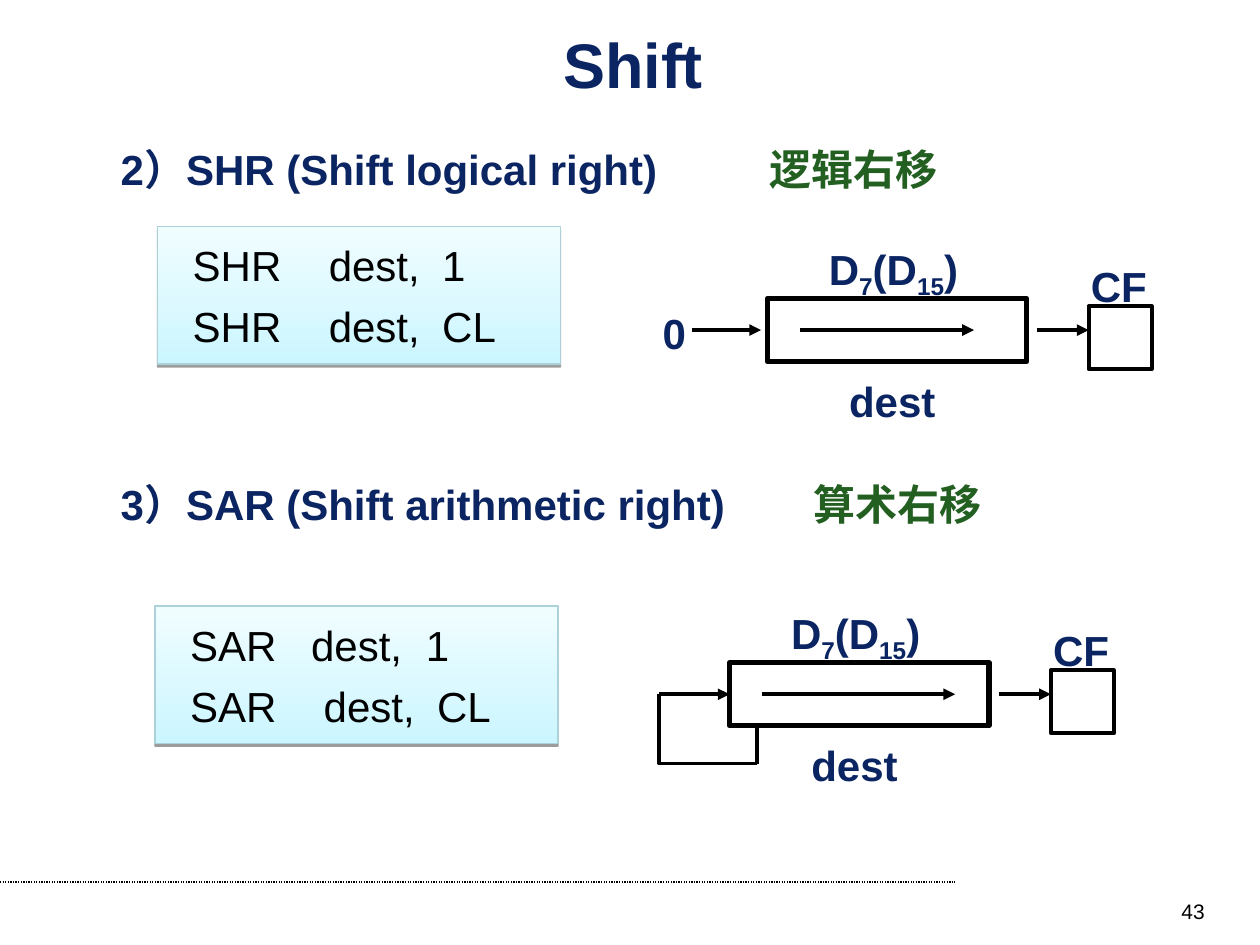
from dataclasses import dataclass

from lxml.etree import SubElement
from pptx import Presentation
from pptx.dml.color import RGBColor
from pptx.enum.dml import MSO_LINE
from pptx.enum.shapes import MSO_CONNECTOR, MSO_SHAPE
from pptx.enum.text import MSO_ANCHOR, PP_ALIGN
from pptx.oxml.ns import qn
from pptx.util import Inches, Pt

NAVY, GREEN, BLACK = "0A2562", "225F21", "000000"


@dataclass
class Run:
    text: str
    color: str = NAVY
    subscript: bool = False


@dataclass
class CodeLine:
    text: str
    tabs: tuple[float, ...]


@dataclass
class Instruction:
    heading: str
    translation: str
    heading_top: float
    translation_tab: float
    code: list[CodeLine]
    code_left: float
    code_top: float
    register_left: float
    register_top: float
    inner_arrow_end: float
    feedback: bool


INSTRUCTIONS = [
    Instruction("2）SHR (Shift logical right)", "逻辑右移", 1.09, 5.15,
                [CodeLine("SHR\tdest,\t1", (1.08, 1.98)),
                 CodeLine("SHR\tdest,\tCL", (1.08, 1.98))],
                1.25, 1.8, 6.09, 2.37, 1.64, feedback=False),
    Instruction("3）SAR (Shift arithmetic right)", "算术右移", 3.75, 5.5,
                [CodeLine("SAR\tdest,\t1", (0.96, 1.87)),
                 CodeLine("SAR\tdest,\tCL", (1.06, 1.96))],
                1.23, 4.81, 5.79, 5.26, 1.79, feedback=True),
]
REGISTER_BITS = [Run("D"), Run("7", subscript=True), Run("(D"),
                 Run("15", subscript=True), Run(")")]


def rgb(color: str) -> RGBColor:
    return RGBColor.from_string(color)


def add_tab_stops(paragraph, positions):
    if positions:
        tab_list = SubElement(paragraph._p.get_or_add_pPr(), qn("a:tabLst"))
        for position in positions:
            SubElement(tab_list, qn("a:tab"), pos=str(Inches(position)), algn="l")


def write_paragraph(paragraph, runs, *, size=24, bold=True,
                    align=PP_ALIGN.LEFT, tabs=()):
    add_tab_stops(paragraph, tabs)
    paragraph.alignment = align
    for part in runs:
        run = paragraph.add_run()
        run.text = part.text
        run.font.name = "Arial"
        run.font.size = Pt(size)
        run.font.bold = bold
        run.font.color.rgb = rgb(part.color)
        if part.subscript:
            run.font._element.set("baseline", "-25000")


def add_text(shapes, left, top, width, height, runs, *,
             anchor=MSO_ANCHOR.TOP, **text_format):
    box = shapes.add_textbox(Inches(left), Inches(top), Inches(width), Inches(height))
    box.text_frame.word_wrap = True
    box.text_frame.vertical_anchor = anchor
    write_paragraph(box.text_frame.paragraphs[0], runs, **text_format)


def add_line(shapes, start, end, *, weight=2.25, arrow=False,
             kind=MSO_CONNECTOR.STRAIGHT):
    connector = shapes.add_connector(kind, *map(Inches, start + end))
    connector.line.color.rgb = rgb(BLACK)
    connector.line.width = Pt(weight)
    if arrow:
        SubElement(connector.line._get_or_add_ln(), qn("a:tailEnd"), type="triangle")
    SubElement(connector._element.spPr, qn("a:effectLst"))
    return connector


def add_outline(shapes, left, top, width, height, weight):
    shape = shapes.add_shape(MSO_SHAPE.RECTANGLE, Inches(left), Inches(top),
                             Inches(width), Inches(height))
    shape.shadow.inherit = False
    shape.fill.background()
    shape.line.color.rgb = rgb(BLACK)
    shape.line.width = Pt(weight)
    return shape


def add_drop_shadow(shape):
    shape.shadow.inherit = False
    effects = shape._element.spPr.find(qn("a:effectLst"))
    shadow = SubElement(effects, qn("a:outerShdw"), blurRad="0", dist=str(Pt(1.6)),
                        dir="5400000", rotWithShape="0")
    color = SubElement(shadow, qn("a:srgbClr"), val=BLACK)
    SubElement(color, qn("a:alpha"), val="38000")


def add_code_box(shapes, left, top, lines: list[CodeLine]):
    shape = shapes.add_shape(MSO_SHAPE.RECTANGLE, Inches(left), Inches(top),
                             Inches(3.2), Inches(1.09))
    shape.fill.gradient()
    shape.fill.gradient_angle = 90
    for stop, color in zip(shape.fill.gradient_stops, ("CCF6FF", "F0FDFF")):
        stop.color.rgb = rgb(color)
    shape.line.color.rgb = rgb("ADD1D8")
    shape.line.width = Pt(0.75)
    add_drop_shadow(shape)
    frame = shape.text_frame
    frame.word_wrap = True
    frame.margin_left = Inches(0.28)
    frame.vertical_anchor = MSO_ANCHOR.MIDDLE
    for index, line in enumerate(lines):
        paragraph = frame.add_paragraph() if index else frame.paragraphs[0]
        write_paragraph(paragraph, [Run(line.text, BLACK)], bold=False, tabs=line.tabs)
        if index:
            paragraph.space_before = Pt(6)


def add_feedback(shapes, left, top, register):
    """Lead the sign bit from under the register back to its left side."""
    tap, outer, bottom, middle = left + 0.22, left - 0.56, top + 0.8, top + 0.25
    add_line(shapes, (tap, top + 0.5), (tap, bottom), weight=2)
    elbow = add_line(shapes, (tap, bottom), (outer, middle), weight=2,
                     kind=MSO_CONNECTOR.ELBOW)
    elbow._element.spPr.find(qn("a:prstGeom")).set("prst", "bentConnector2")
    arrow = add_line(shapes, (outer, middle), (left, middle), arrow=True)
    arrow.end_connect(register, 1)


def add_diagram(slide, instruction: Instruction):
    shapes = slide.shapes.add_group_shape().shapes
    left, top = instruction.register_left, instruction.register_top
    middle = top + 0.25
    add_line(shapes, (left + 0.26, middle),
             (left + instruction.inner_arrow_end, middle), arrow=True)
    add_outline(shapes, left + 2.55, top + 0.06, 0.5, 0.5, 2.25)
    register = add_outline(shapes, left, top, 2.06, 0.5, 3)
    add_line(shapes, (left + 2.14, middle), (left + 2.55, middle), arrow=True)
    add_text(shapes, left + 2.47, top - 0.35, 0.67, 0.5, [Run("CF")])
    add_text(shapes, left + 0.39, top - 0.49, 1.25, 0.56, REGISTER_BITS)
    add_text(shapes, left + 0.55, top + 0.56, 1.25, 0.5, [Run("dest")])
    if instruction.feedback:
        add_feedback(shapes, left, top, register)
    else:
        add_line(shapes, (left - 0.6, middle), (left - 0.05, middle), arrow=True)
        add_text(shapes, left - 0.93, top + 0.02, 0.42, 0.5, [Run("0")])


def main():
    presentation = Presentation()
    presentation.slide_width, presentation.slide_height = Inches(10), Inches(7.5)
    slide = presentation.slides.add_slide(presentation.slide_layouts[6])

    footer_rule = add_line(slide.shapes, (0, 7), (7.58, 7), weight=0.75)
    footer_rule.line.dash_style = MSO_LINE.ROUND_DOT
    add_text(slide.shapes, 0.5, 0.25, 9.05, 0.5, [Run("Shift")], size=36,
             align=PP_ALIGN.CENTER, anchor=MSO_ANCHOR.MIDDLE)
    add_text(slide.shapes, 7.33, 7.08, 2.33, 0.27, [Run("43", BLACK)], size=12,
             bold=False, align=PP_ALIGN.RIGHT)

    for instruction in INSTRUCTIONS:
        add_text(slide.shapes, 0.86, instruction.heading_top, 8.44, 0.5,
                 [Run(instruction.heading + "\t"), Run(instruction.translation, GREEN)],
                 tabs=(instruction.translation_tab,))
        add_code_box(slide.shapes, instruction.code_left, instruction.code_top,
                     instruction.code)
        add_diagram(slide, instruction)

    presentation.save("out.pptx")


if __name__ == "__main__":
    main()
